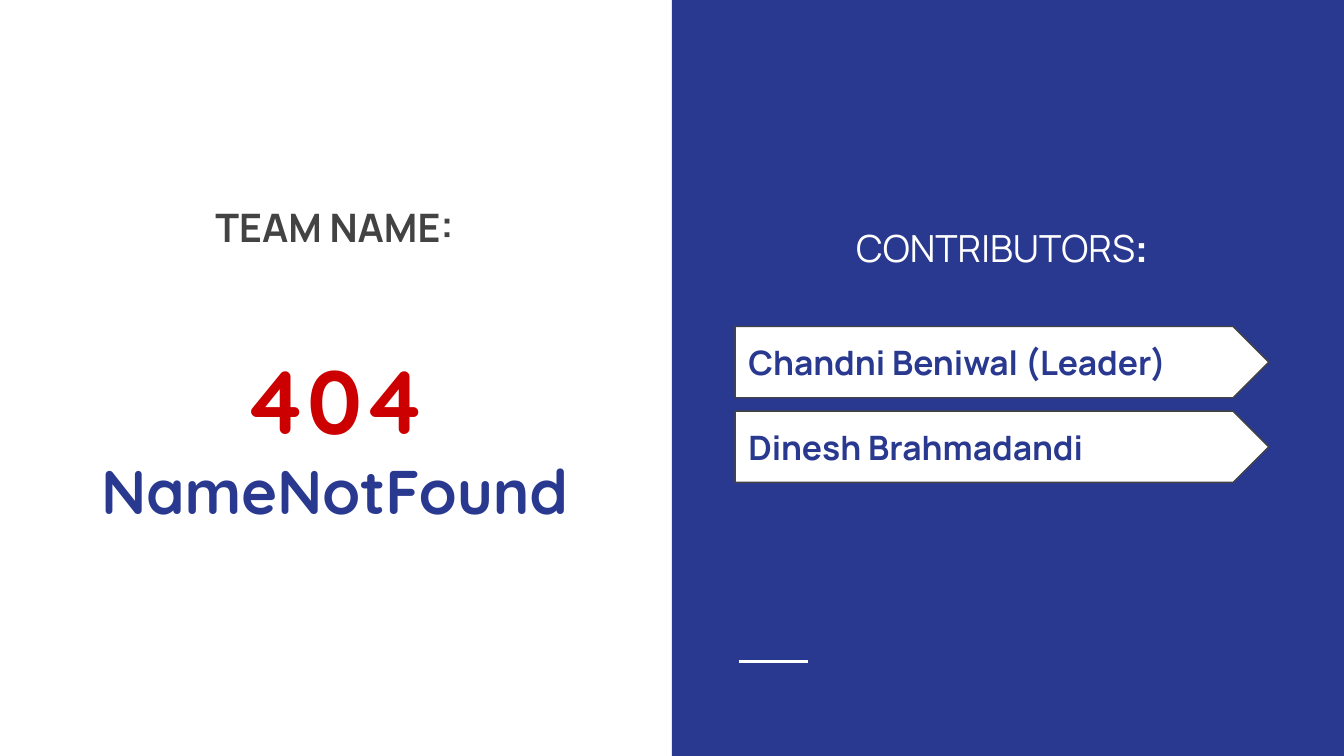
from lxml.etree import SubElement
from pptx import Presentation
from pptx.dml.color import RGBColor
from pptx.enum.shapes import MSO_CONNECTOR, MSO_SHAPE
from pptx.enum.text import MSO_ANCHOR, PP_ALIGN
from pptx.oxml.ns import qn
from pptx.util import Inches, Pt

WHITE = RGBColor(0xFF, 0xFF, 0xFF)
BLUE = RGBColor(0x2A, 0x39, 0x90)
RED = RGBColor(0xCC, 0x00, 0x00)
GRAY = RGBColor(0x43, 0x43, 0x43)

WIDTH = 10
HEIGHT = WIDTH * 9 / 16
NAMES = ["Chandni Beniwal (Leader)", "Dinesh Brahmadandi"]


def set_font(font, name, size, color, bold=None):
    font.name = name
    font.size = Pt(size)
    font.color.rgb = color
    font.bold = bold


def set_frame(shape, anchor):
    frame = shape.text_frame
    frame.word_wrap = True
    frame.vertical_anchor = anchor
    frame.margin_left = frame.margin_right = Inches(0.1)
    frame.margin_top = frame.margin_bottom = Inches(0.1)
    return frame


def add_text(slide, left, top, width, height, anchor):
    box = slide.shapes.add_textbox(
        Inches(left), Inches(top), Inches(width), Inches(height))
    return set_frame(box, anchor)


def add_shape(slide, kind, left, top, width, height, fill):
    shape = slide.shapes.add_shape(
        kind, Inches(left), Inches(top), Inches(width), Inches(height))
    shape.shadow.inherit = False
    shape.fill.solid()
    shape.fill.fore_color.rgb = fill
    return shape


def add_team(slide, left, top):
    label = add_text(slide, left + 0.28, top + 1.41, 4.42, 0.81, MSO_ANCHOR.TOP)
    para = label.paragraphs[0]
    para.text = "TEAM NAME:"
    para.alignment = PP_ALIGN.CENTER
    set_font(para.font, "Manrope", 21, GRAY, True)

    title = add_text(slide, left, top + 3.09, 4.98, 0.93, MSO_ANCHOR.BOTTOM)
    title.text = "404\nNameNotFound"
    for para, size, color in zip(title.paragraphs, (48, 33), (RED, BLUE)):
        para.alignment = PP_ALIGN.CENTER
        set_font(para.font, "Quicksand", size, color, True)


def add_tag(slide, left, top, name):
    tag = add_shape(slide, MSO_SHAPE.PENTAGON, left, top, 3.97, 0.53, WHITE)
    tag.adjustments[0] = 0.5
    tag.line.color.rgb = GRAY
    tag.line.width = Pt(0.75)
    para = set_frame(tag, MSO_ANCHOR.MIDDLE).paragraphs[0]
    para.text = name
    para.alignment = PP_ALIGN.LEFT
    set_font(para.font, "Manrope", 18, BLUE, True)


def add_people(slide, left, top, width, height):
    panel = add_shape(slide, MSO_SHAPE.RECTANGLE, left, top, width, height, BLUE)
    panel.line.fill.background()

    rule = slide.shapes.add_connector(
        MSO_CONNECTOR.STRAIGHT, Inches(left + 0.5), Inches(top + 4.92),
        Inches(left + 1.01), Inches(top + 4.92))
    rule.line.color.rgb = WHITE
    rule.line.width = Pt(1.5)
    SubElement(rule._element.spPr, qn("a:effectLst"))

    head = add_text(slide, left + 0.78, top + 1.41, 3.35, 0.81, MSO_ANCHOR.MIDDLE)
    para = head.paragraphs[0]
    para.alignment = PP_ALIGN.CENTER
    para.line_spacing = 1.15
    para.space_after = Pt(16)
    for text, name, bold in (("CONTRIBUTORS", "Manrope", False), (":", "Arial", True)):
        run = para.add_run()
        run.text = text
        set_font(run.font, name, 20, WHITE, bold)

    for row, name in enumerate(NAMES):
        add_tag(slide, left + 0.47, top + 2.43 + 0.63 * row, name)


def main():
    deck = Presentation()
    deck.slide_width = Inches(WIDTH)
    deck.slide_height = Inches(HEIGHT)
    slide = deck.slides.add_slide(deck.slide_layouts[6])
    slide.background.fill.solid()
    slide.background.fill.fore_color.rgb = WHITE
    add_people(slide, WIDTH / 2, 0, WIDTH / 2, HEIGHT)
    add_team(slide, 0, 0)
    deck.save("out.pptx")


if __name__ == "__main__":
    main()
